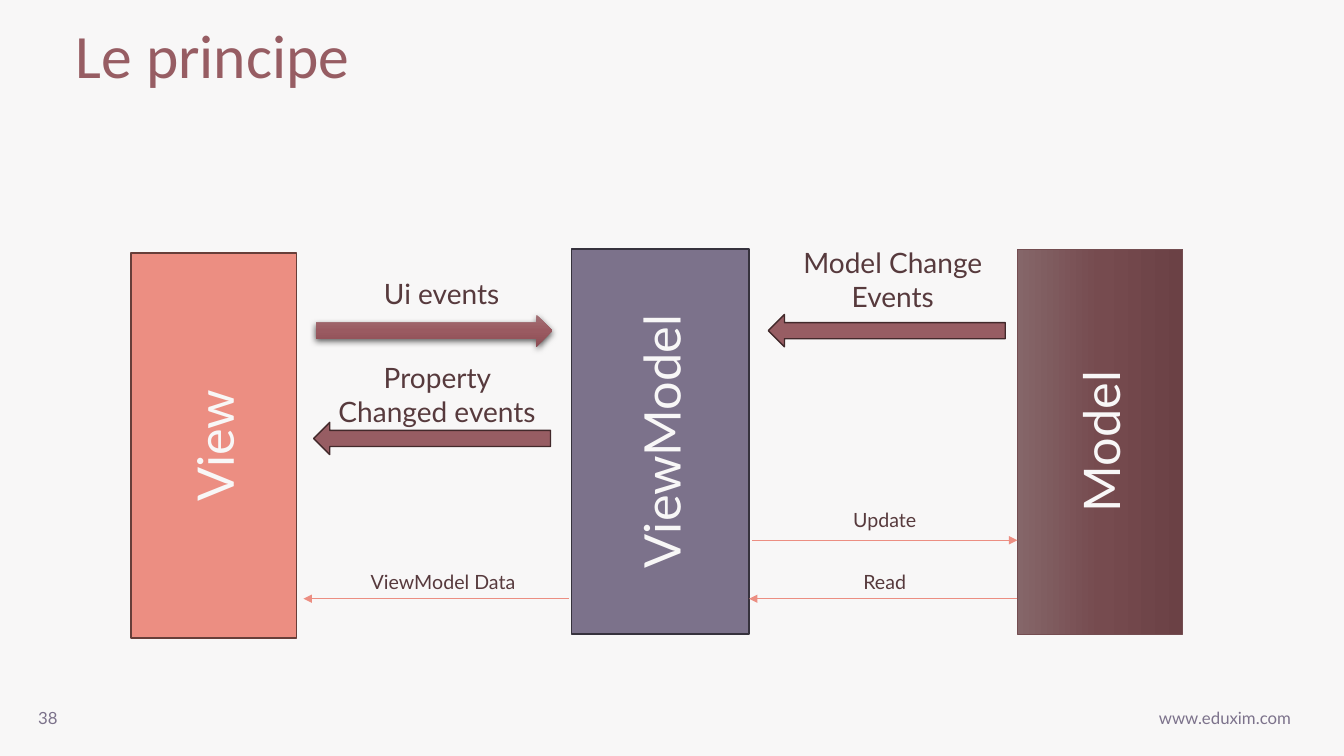
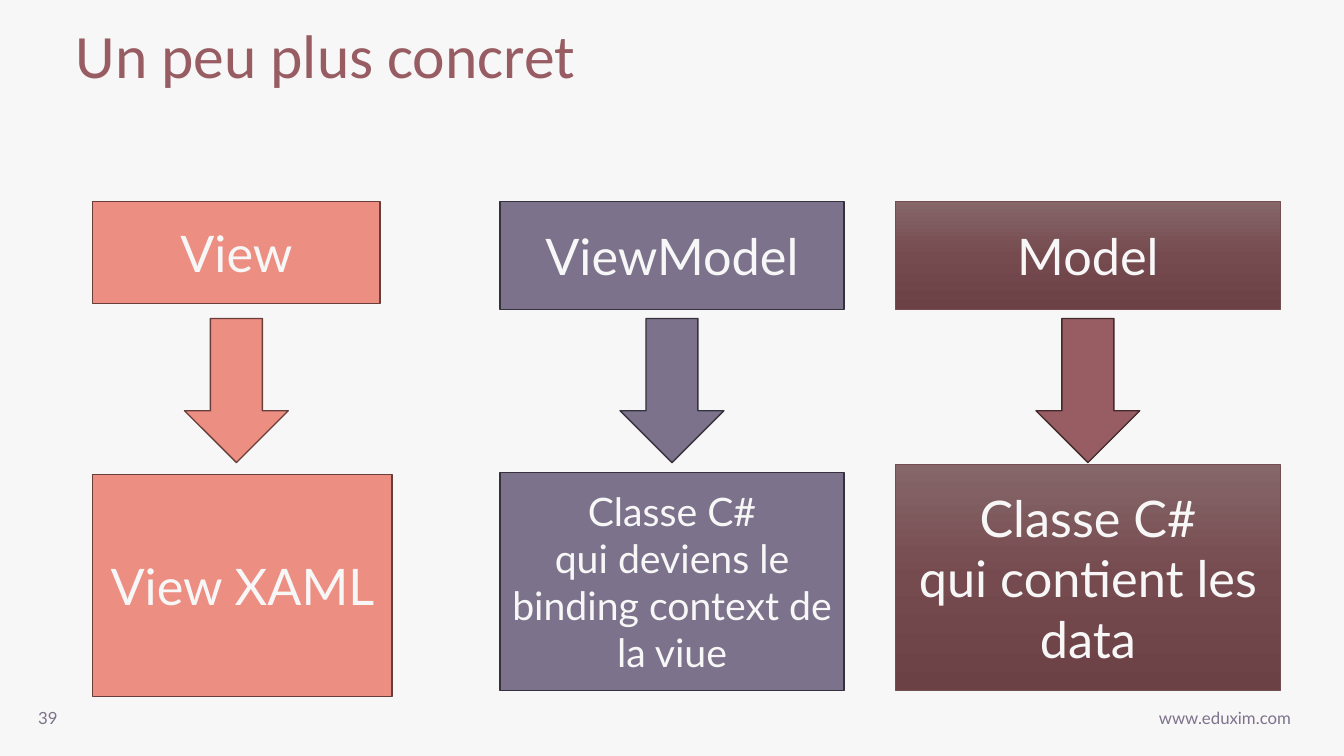
from collections import namedtuple

from lxml import etree
from pptx import Presentation
from pptx.dml.color import RGBColor
from pptx.enum.shapes import MSO_CONNECTOR, MSO_SHAPE
from pptx.enum.text import MSO_ANCHOR, MSO_AUTO_SIZE, PP_ALIGN
from pptx.oxml.ns import qn
from pptx.util import Emu, Pt

RECTANGLE = MSO_SHAPE.RECTANGLE
RIGHT_ARROW = MSO_SHAPE.RIGHT_ARROW
DOWN_ARROW = MSO_SHAPE.DOWN_ARROW
STRAIGHT = MSO_CONNECTOR.STRAIGHT
CENTER, LEFT = PP_ALIGN.CENTER, PP_ALIGN.LEFT
TOP, MIDDLE = MSO_ANCHOR.TOP, MSO_ANCHOR.MIDDLE
NO_AUTOFIT = MSO_AUTO_SIZE.NONE

EMU_PER_PX = 9144
TITLE_FONT, BODY_FONT = "Calibri", "Lato"
PAPER, ROSE, SLATE, CORAL, INK = "F8F7F7", "975D63", "7C728B", "EC8E82", "573A3D"

Style = namedtuple("Style", "fill outline weight")
VIEW = Style([CORAL], "673E39", 1)
VIEW_MODEL = Style([SLATE], "36323D", 1)
MODEL = Style(["856669", "764B4F", "6B4145"], "744D51", 0.5)
EVENT = Style([ROSE], "42292B", 1)
GLOSSY = Style(["A37176", "9A5A61", "8B4D54"], None, 0)

Event = namedtuple("Event", "label label_box align arrow_at rotation style")
Link = namedtuple("Link", "label label_at start end line_y")
Layer = namedtuple("Layer", "name style left head_size body_box lines size")


def px(value):
    return Emu(round(value * EMU_PER_PX))


def frame(left, top, width, height):
    return px(left), px(top), px(width), px(height)


def rgb(colour):
    return RGBColor.from_string(colour)


def paint(fill, colours):
    if len(colours) == 1:
        fill.solid()
        fill.fore_color.rgb = rgb(colours[0])
        return
    fill.gradient()
    fill.gradient_angle = 270


def set_stops(shape, colours):
    stops = shape.element.spPr.find(".//" + qn("a:gsLst"))
    for stop in list(stops):
        stops.remove(stop)
    for index, colour in enumerate(colours):
        position = index * 100000 // (len(colours) - 1)
        stop = etree.SubElement(stops, qn("a:gs"), pos=str(position))
        etree.SubElement(stop, qn("a:srgbClr"), val=str(rgb(colour)))


def write(text_frame, text, size, colour, align=CENTER, anchor=TOP, font=BODY_FONT):
    text_frame.text = text
    text_frame.vertical_anchor = anchor
    for paragraph in text_frame.paragraphs:
        paragraph.alignment = align
        for run in paragraph.runs:
            run.font.name = font
            run.font.size = Pt(size)
            run.font.color.rgb = rgb(colour)


def add_label(slide, box, text, size, colour, align=CENTER, anchor=TOP, wrap=True):
    text_frame = slide.shapes.add_textbox(*frame(*box)).text_frame
    text_frame.word_wrap = wrap
    write(text_frame, text, size, colour, align, anchor)


def add_block(slide, kind, box, style, text="", size=36, rotation=0):
    block = slide.shapes.add_shape(kind, *frame(*box))
    block.rotation = rotation
    block.shadow.inherit = False
    paint(block.fill, style.fill)
    if len(style.fill) > 1:
        set_stops(block, style.fill)
    if style.outline:
        block.line.color.rgb = rgb(style.outline)
        block.line.width = Pt(style.weight)
    else:
        block.line.fill.background()
    if text:
        write(block.text_frame, text, size, PAPER, anchor=MIDDLE)
    return block


def add_drop_shadow(block):
    effects = block.element.spPr.find(qn("a:effectLst"))
    shadow = etree.SubElement(
        effects, qn("a:outerShdw"), blurRad=str(Pt(4.5)), dist=str(Pt(1.5)),
        dir="5400000", algn="ctr", rotWithShape="0")
    tint = etree.SubElement(shadow, qn("a:srgbClr"), val="000000")
    etree.SubElement(tint, qn("a:alpha"), val="63000")


def add_pillar(slide, left, top, width, height, style, name):
    turned = (left + (width - height) / 2, top + (height - width) / 2, height, width)
    add_block(slide, RECTANGLE, turned, style, name, rotation=270)


def add_link_line(slide, start, end, y):
    line = slide.shapes.add_connector(STRAIGHT, px(start), px(y), px(end), px(y))
    line.line.color.rgb = rgb(CORAL)
    line.line.width = Pt(0.5)
    etree.SubElement(line.line._get_or_add_ln(), qn("a:tailEnd"), type="triangle")
    etree.SubElement(line.element.spPr, qn("a:effectLst"))


def add_exchange(slide, left, top, events, links):
    for event in events:
        x, y = event.arrow_at
        arrow = add_block(slide, RIGHT_ARROW, (left + x, top + y, 235, 32),
                          event.style, rotation=event.rotation)
        if event.style is GLOSSY:
            add_drop_shadow(arrow)
        x, y, width, height = event.label_box
        add_label(slide, (left + x, top + y, width, height), event.label, 20, INK,
                  event.align)
    for link in links:
        add_link_line(slide, left + link.start, left + link.end, top + link.line_y)
        x, y = link.label_at
        add_label(slide, (left + x, top + y, 235, 34), link.label, 14, INK)


def add_layer(slide, top, layer):
    width, height = layer.head_size
    add_block(slide, RECTANGLE, (layer.left, top, width, height), layer.style, layer.name)
    arrow_style = EVENT if layer.style is MODEL else layer.style
    arrow_left = layer.left + (width - 103) / 2
    add_block(slide, DOWN_ARROW, (arrow_left, top + 116, 103, 143), arrow_style)
    offset, body_width, body_height = layer.body_box
    add_block(slide, RECTANGLE, (layer.left, top + offset, body_width, body_height),
              layer.style, "\n".join(layer.lines), layer.size)


def add_page(prs, title, number):
    slide = prs.slides.add_slide(prs.slide_layouts[5])
    heading = slide.shapes.title
    heading.left, heading.top, heading.width, heading.height = frame(65, 20, 1094, 101)
    write(heading.text_frame, title, 44, ROSE, LEFT, font=TITLE_FONT)
    heading.text_frame.auto_size = NO_AUTOFIT
    heading.text_frame.paragraphs[0].line_spacing = 0.9
    add_label(slide, (0, 668, 95, 89), str(number), 12, SLATE, anchor=MIDDLE)
    add_label(slide, (1138, 697, 154, 30), "www.eduxim.com", 12, SLATE, wrap=False)
    return slide


def build_principle(prs):
    slide = add_page(prs, "Le principe", 38)
    top = 247
    add_pillar(slide, 130, top + 4, 164, 382, VIEW, "View")
    add_pillar(slide, 567, top, 176, 382, VIEW_MODEL, "ViewModel")
    add_pillar(slide, 1009, top, 164, 382, MODEL, "Model")
    add_exchange(
        slide, 294, top,
        [Event("Ui events", (77, 22, 149, 44), LEFT, (19, 65), 0, GLOSSY),
         Event("Property Changed events", (22, 106, 235, 77), CENTER, (17, 172), 180,
               EVENT)],
        [Link("ViewModel Data", (28, 313), 270, 7, 347)])
    add_exchange(
        slide, 743, top,
        [Event("Model Change Events", (25, -8, 235, 77), CENTER, (19, 65), 180, EVENT)],
        [Link("Update", (17, 252), 3, 266, 289),
         Link("Read", (17, 314), 266, 0, 347)])


def build_concrete(prs):
    slide = add_page(prs, "Un peu plus concret", 39)
    layers = [
        Layer("View", VIEW, 92, (285, 101), (271, 297, 220), ["View XAML"], 36),
        Layer("ViewModel", VIEW_MODEL, 496, (341, 107), (269, 341, 216),
              ["Classe C#", "qui deviens le binding context de la viue"], 28),
        Layer("Model", MODEL, 888, (382, 107), (261, 382, 224),
              ["Classe C#", "qui contient les data"], 36),
    ]
    for layer in layers:
        add_layer(slide, 200, layer)


def main():
    prs = Presentation()
    prs.slide_width, prs.slide_height = px(1333), px(750)
    paint(prs.slide_master.background.fill, [PAPER])
    build_principle(prs)
    build_concrete(prs)
    prs.save("out.pptx")


if __name__ == "__main__":
    main()
